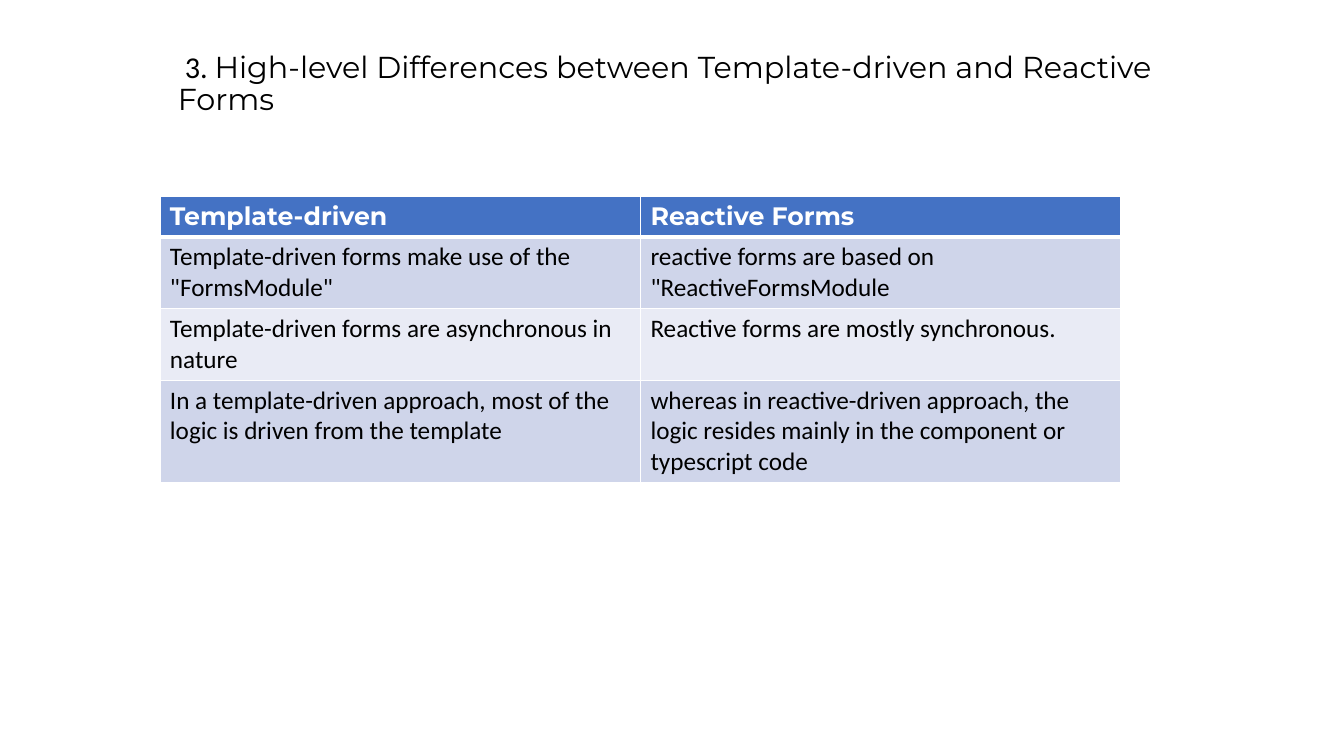
from lxml import etree
from pptx import Presentation
from pptx.dml.color import RGBColor as RGB
from pptx.enum.text import MSO_ANCHOR as Anchor, MSO_AUTO_SIZE as Fit, PP_ALIGN as Align
from pptx.oxml.ns import qn
from pptx.util import Cm, Pt

BLACK = RGB(0x00, 0x00, 0x00)
WHITE = RGB(0xFF, 0xFF, 0xFF)
BLUE = RGB(0x44, 0x72, 0xC4)
BANDS = [RGB(0xCF, 0xD5, 0xEA), RGB(0xE9, 0xEB, 0xF5)]

TITLE = [
    (" 3. ", "Calibri"),
    ("High-level Differences between Template-driven and Reactive Forms", "Montserrat"),
]
ROWS = [
    ("Template-driven", "Reactive Forms"),
    ('Template-driven forms make use of the "FormsModule"',
     'reactive forms are based on "ReactiveFormsModule'),
    ("Template-driven forms are asynchronous in nature",
     "Reactive forms are mostly synchronous."),
    ("In a template-driven approach, most of the logic is driven from the template",
     "whereas in reactive-driven approach, the logic resides mainly in the component "
     "or typescript code"),
]
HEIGHTS = [0.99, 1.8, 1.8, 2.56]

HEAD = {"name": "Montserrat", "size": Pt(18), "bold": True}
BODY = {"name": "Calibri", "size": Pt(18), "bold": False}


def style(item, form):
    for key, value in form.items():
        setattr(item, key, value)


def add_run(para, text, form, color):
    run = para.add_run()
    run.text = text
    style(run.font, form)
    run.font.color.rgb = color


def add_edges(cell, base):
    """Draw white borders, with the bottom one of the given width."""
    props = cell._tc.get_or_add_tcPr()
    widths = {"a:lnL": 1, "a:lnR": 1, "a:lnT": 1, "a:lnB": base}
    for spot, (tag, width) in enumerate(widths.items()):
        line = etree.Element(qn(tag), w=str(Pt(width)))
        fill = etree.SubElement(line, qn("a:solidFill"))
        etree.SubElement(fill, qn("a:srgbClr"), val=str(WHITE))
        props.insert(spot, line)


def add_title(slide, left, top, width, height):
    title = slide.shapes.title
    style(title, {"left": left, "top": top, "width": width, "height": height})
    frame = title.text_frame
    style(frame, {
        "word_wrap": True, "auto_size": Fit.NONE, "vertical_anchor": Anchor.BOTTOM,
        "margin_bottom": Cm(0.95),
    })
    para = frame.paragraphs[0]
    style(para, {"alignment": Align.LEFT, "line_spacing": 0.9})
    for text, face in TITLE:
        add_run(para, text, {"name": face, "size": Pt(21.6)}, BLACK)


def add_grid(slide, left, top, width, height):
    grid = slide.shapes.add_table(len(ROWS), len(ROWS[0]), left, top, width, height).table
    for r, texts in enumerate(ROWS):
        grid.rows[r].height = Cm(HEIGHTS[r])
        for c, text in enumerate(texts):
            cell = grid.cell(r, c)
            cell.fill.solid()
            cell.fill.fore_color.rgb = BANDS[(r - 1) % 2] if r else BLUE
            add_edges(cell, 1 if r else 3)
            form, color = (BODY, BLACK) if r else (HEAD, WHITE)
            add_run(cell.text_frame.paragraphs[0], text, form, color)


def main():
    deck = Presentation()
    style(deck, {"slide_width": Cm(33.87), "slide_height": Cm(19.05)})
    slide = deck.slides.add_slide(deck.slide_layouts[5])
    add_title(slide, Cm(4.23), Cm(2.08), Cm(25.4), Cm(1.83))
    add_grid(slide, Cm(4.03), Cm(4.94), Cm(24.22), Cm(sum(HEIGHTS)))
    deck.save("out.pptx")


if __name__ == "__main__":
    main()
